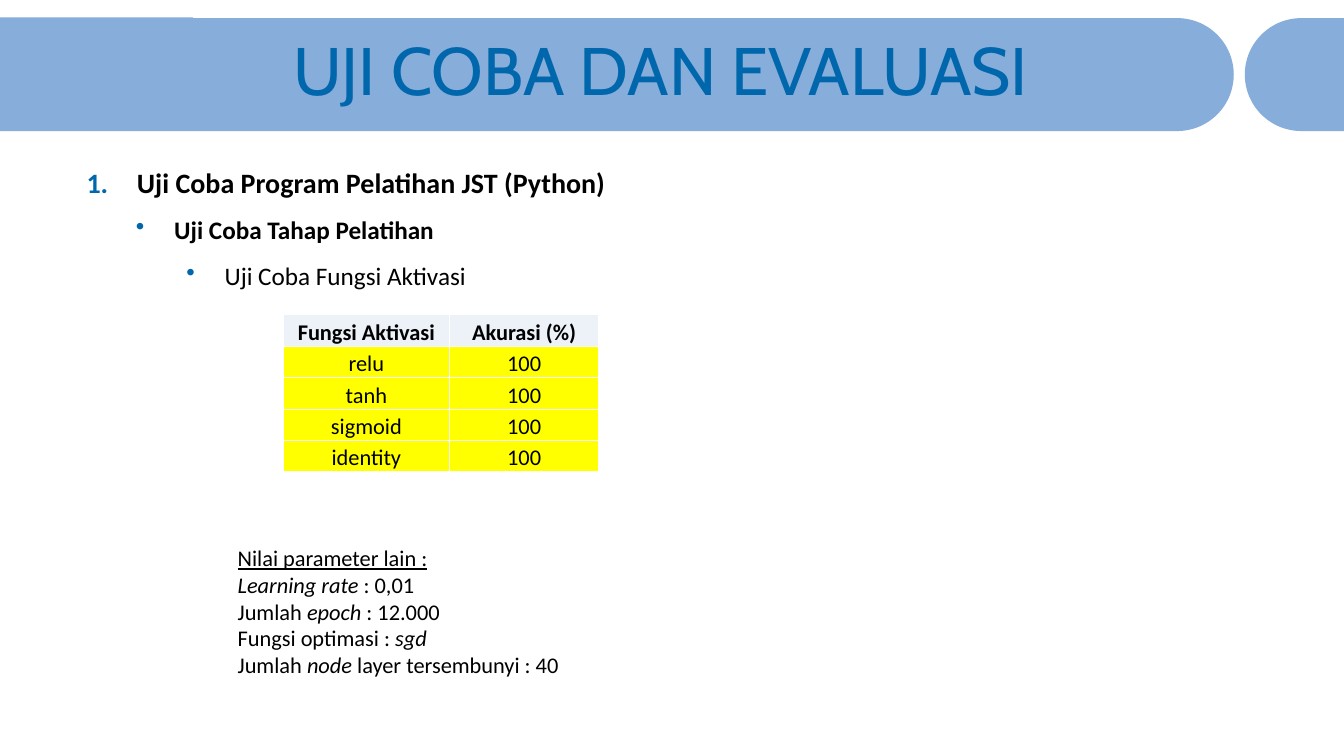
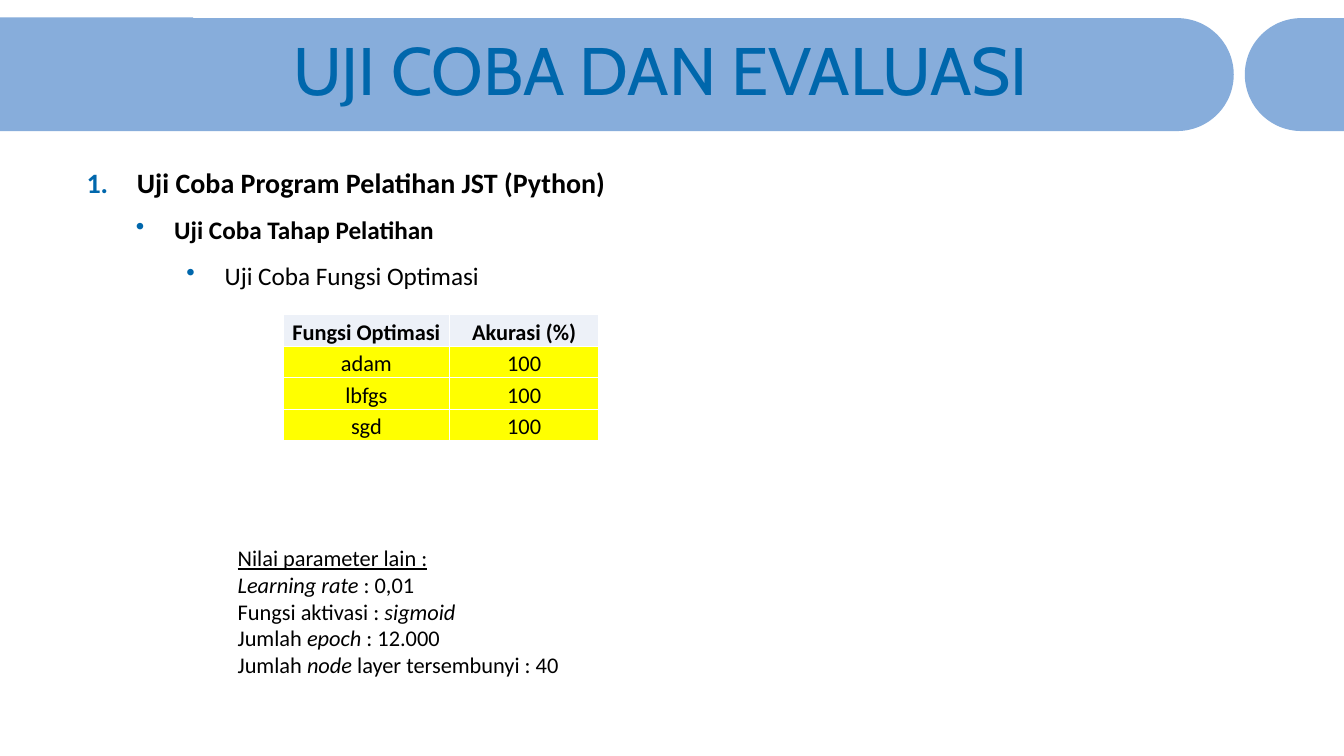
import math
from lxml import etree
from pptx import Presentation
from pptx.dml.color import RGBColor
from pptx.enum.shapes import MSO_SHAPE
from pptx.enum.text import MSO_ANCHOR, PP_ALIGN
from pptx.oxml.ns import qn
from pptx.util import Pt

RECT = MSO_SHAPE.RECTANGLE
MIDDLE, BOTTOM = MSO_ANCHOR.MIDDLE, MSO_ANCHOR.BOTTOM
CENTER = PP_ALIGN.CENTER
WIDTH, HEIGHT = 960, 540
BAND_TOP, BAND_HEIGHT = 12.96, 80.64
BLUE, BAND, BLACK, WHITE = "0067AC", "87ADDB", "000000", "FFFFFF"
HEADER, YELLOW = "EDF1F8", "FFFF00"


def rgb(value):
    return RGBColor.from_string(value)


def sub(parent, tag, **attrs):
    return etree.SubElement(parent, qn(tag), **attrs)


def colour(parent, value):
    sub(parent, "a:srgbClr", val=value)


class Deck:
    """Holds the shared style and the current slide."""

    def __init__(self):
        self.prs = Presentation()
        self.prs.slide_width, self.prs.slide_height = Pt(WIDTH), Pt(HEIGHT)
        self.s = None

    def slide(self, title):
        self.s = self.prs.slides.add_slide(self.prs.slide_layouts[6])
        self.band(0, 881.28, 1)
        self.band(WIDTH, 889.2, -1)
        self.paint(self.s.shapes.add_shape(RECT, 0, Pt(12.4), Pt(138), Pt(BAND_HEIGHT)))
        tf = self.box(202.3, 24.5, 740, 57)
        tf.vertical_anchor = MIDDLE
        p = tf.paragraphs[0]
        p.line_spacing = 0.9
        self.run(p, title, name="Cabin", size=Pt(48), color=BLUE)

    def paint(self, sp):
        sp.shadow.inherit = False
        sp.fill.solid()
        sp.fill.fore_color.rgb = rgb(BAND)
        sp.line.fill.background()

    def band(self, flat, tip, side):
        radius = BAND_HEIGHT / 2
        middle, hub = BAND_TOP + radius, tip - side * radius
        angles = [math.radians(a) for a in range(-90, 91, 3)]
        arc = [(Pt(hub + side * radius * math.cos(a)), Pt(middle + radius * math.sin(a)))
               for a in angles]
        fb = self.s.shapes.build_freeform(Pt(flat), Pt(BAND_TOP))
        fb.add_line_segments(arc + [(Pt(flat), Pt(BAND_TOP + BAND_HEIGHT))])
        self.paint(fb.convert_to_shape())

    def box(self, x, y, w, h):
        tf = self.s.shapes.add_textbox(Pt(x), Pt(y), Pt(w), Pt(h)).text_frame
        tf.word_wrap = True
        return tf

    def run(self, p, text, color=BLACK, **fmt):
        r = p.add_run()
        r.text = text
        for key, value in {"name": "Calibri", "size": Pt(16), **fmt}.items():
            setattr(r.font, key, value)
        r.font.color.rgb = rgb(color)

    def paragraphs(self, tf, count):
        return [tf.paragraphs[0]] + [tf.add_paragraph() for _ in range(count - 1)]

    def outline(self, texts):
        styles = [(36, -36, 20, True), (62.64, -27.36, 18, True), (98.64, -27.36, 18, False)]
        tf = self.box(54.7, 103, 828.7, 110)
        for level, (p, text, style) in enumerate(
                zip(self.paragraphs(tf, len(texts)), texts, styles)):
            margin, indent, size, bold = style
            p.level = level
            pPr = p._p.get_or_add_pPr()
            pPr.set("marL", str(Pt(margin)))
            pPr.set("indent", str(Pt(indent)))
            colour(sub(pPr, "a:buClr"), BLUE)
            if level:
                sub(pPr, "a:buChar", char="•")
            else:
                sub(pPr, "a:buAutoNum", type="arabicPeriod")
            p.line_spacing = 1.5
            self.run(p, text, size=Pt(size), bold=bold)

    def parameters(self, heading, lines):
        tf = self.box(162.7, 385, 720, 105)
        first, *rest = self.paragraphs(tf, len(lines) + 1)
        self.run(first, heading, underline=True)
        for p, line in zip(rest, lines):
            for i, part in enumerate(line.split("*")):
                if part:
                    self.run(p, part, italic=i % 2 == 1)

    def table(self, rows):
        widths, height = (118.8, 106.56), 22.46
        tbl = self.s.shapes.add_table(len(rows), len(widths), Pt(202.3), Pt(224.9),
                                      Pt(sum(widths)), Pt(height * len(rows))).table
        for col, width in zip(tbl.columns, widths):
            col.width = Pt(width)
        for i, row in enumerate(rows):
            tbl.rows[i].height = Pt(height)
            for j, text in enumerate(row):
                self.cell(tbl.cell(i, j), text, i == 0)

    def cell(self, c, text, header):
        fmt = {"margin_left": Pt(0.7), "margin_right": Pt(0.7), "margin_top": Pt(0.7),
               "margin_bottom": 0, "vertical_anchor": BOTTOM}
        for key, value in fmt.items():
            setattr(c, key, value)
        tcPr = c._tc.get_or_add_tcPr()
        for tag in ("a:lnL", "a:lnR", "a:lnT", "a:lnB"):
            colour(sub(sub(tcPr, tag, w=str(Pt(1))), "a:solidFill"), WHITE)
        c.fill.solid()
        c.fill.fore_color.rgb = rgb(HEADER if header else YELLOW)
        p = c.text_frame.paragraphs[0]
        p.alignment = CENTER
        self.run(p, text, bold=header)


def main():
    rate, epoch = "*Learning rate* : 0,01", "Jumlah *epoch *: 12.000"
    nodes = "Jumlah *node* layer tersembunyi : 40"
    trials = [
        ("Fungsi Aktivasi", ["relu", "tanh", "sigmoid", "identity"],
         [rate, epoch, "Fungsi optimasi : *sgd*", nodes]),
        ("Fungsi Optimasi", ["adam", "lbfgs", "sgd"],
         [rate, "Fungsi aktivasi : *sigmoid*", epoch, nodes]),
    ]
    deck = Deck()
    for subject, functions, settings in trials:
        deck.slide("UJI COBA DAN EVALUASI")
        deck.outline(["Uji Coba Program Pelatihan JST (Python)", "Uji Coba Tahap Pelatihan",
                      f"Uji Coba {subject}"])
        deck.parameters("Nilai parameter lain :", settings)
        deck.table([(subject, "Akurasi (%)")] + [(name, "100") for name in functions])
    deck.prs.save("out.pptx")


if __name__ == "__main__":
    main()
